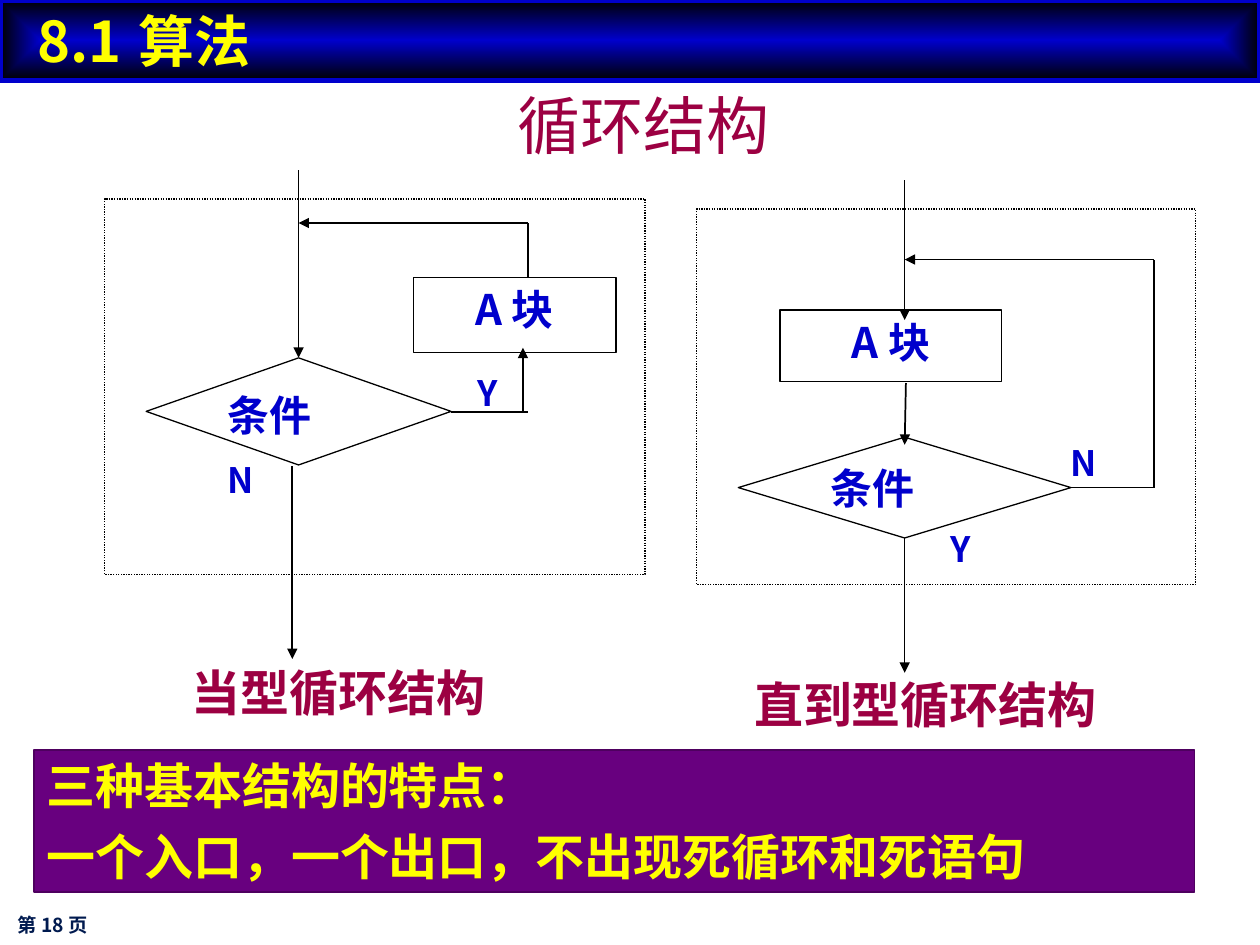
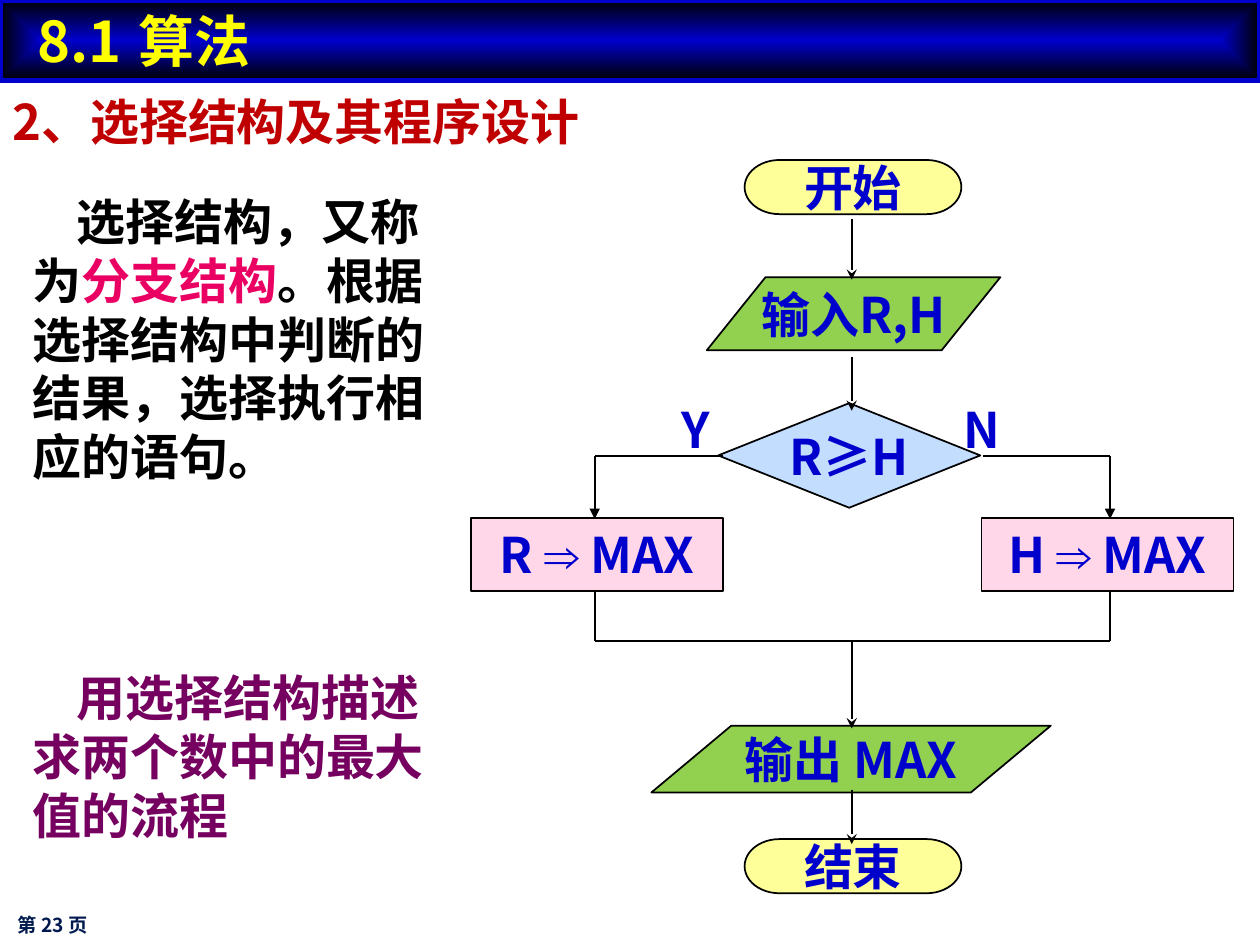
from dataclasses import dataclass, replace
from itertools import pairwise

from lxml.etree import SubElement
from pptx import Presentation
from pptx.dml.color import RGBColor
from pptx.enum.dml import MSO_LINE
from pptx.enum.shapes import MSO_CONNECTOR, MSO_SHAPE
from pptx.enum.text import MSO_ANCHOR, PP_ALIGN
from pptx.oxml.ns import qn
from pptx.util import Inches, Pt

# The page is a grid of 100 columns by 75 rows
WIDTH, HEIGHT = Inches(10), Inches(7.5)
COLUMN, ROW = WIDTH / 100, HEIGHT / 75
INSET = (1, 0.5)


@dataclass(frozen=True)
class Style:
    size: float
    color: str
    bold: bool = True
    font: str = "Noto Sans CJK SC"
    align: PP_ALIGN = PP_ALIGN.LEFT


class Theme:
    ink = "000000"
    band, band_edge = "0000CC", "000000"
    summary, summary_edge = "68007F", "4E005F"
    terminal, data = "FFFF99", "92D050"
    process, decision = "FFD7E8", "C3DDFF"
    accent = "E90062"
    symbol_font = "Arial"
    thin, normal, thick = 0.75, 1, 3

    title = Style(32, "FFFF00", font="Noto Sans CJK JP")
    footer = Style(11, "001A4F")
    topic = Style(36, "9C0042", bold=False, align=PP_ALIGN.CENTER)
    caption = Style(28, "9C0042", align=PP_ALIGN.CENTER)
    summary_text = Style(28, "FFFF00")
    heading = Style(28, "C00000")
    body = Style(28, ink)
    task = Style(28, "75005F")
    condition = Style(24, "0000CC")
    block = replace(condition, align=PP_ALIGN.CENTER)
    branch = Style(20, "0000CC")
    big_branch = Style(28, "0000CC")
    step = replace(big_branch, align=PP_ALIGN.CENTER)


def rgb(color):
    return RGBColor.from_string(color)


def place(left, top, width, height):
    return [round(n) for n in
            (left * COLUMN, top * ROW, width * COLUMN, height * ROW)]


def add_span(para, text, style):
    span = para.add_run()
    span.text = text
    font = span.font
    font.size, font.bold, font.name = Pt(style.size), style.bold, style.font
    font.color.rgb = rgb(style.color)
    SubElement(span._r.get_or_add_rPr(), qn("a:ea"), typeface=style.font)


def write(box, paragraphs, style, inset=INSET, wrap=True,
          anchor=MSO_ANCHOR.TOP, indent=0, gap=0, tab=None):
    """Fill a box; a paragraph is a list of (text, style changes)."""
    frame = box.text_frame
    frame.word_wrap, frame.vertical_anchor = wrap, anchor
    frame.margin_left = frame.margin_right = round(inset[0] * COLUMN)
    frame.margin_top = frame.margin_bottom = round(inset[1] * ROW)
    for number, spans in enumerate(paragraphs):
        para = frame.add_paragraph() if number else frame.paragraphs[0]
        para.alignment = style.align
        if number:
            para.space_before = Pt(gap)
        settings = para._p.get_or_add_pPr()
        if indent:
            settings.set("indent", str(round(indent * COLUMN)))
        if tab:
            stops = SubElement(settings, qn("a:tabLst"))
            SubElement(stops, qn("a:tab"), pos=str(round(tab * COLUMN)), algn="l")
        for text, changes in spans:
            add_span(para, text, replace(style, **changes))


def plain(*lines):
    return [[(line, {})] for line in lines]


def add_text(page, spot, paragraphs, style, **layout):
    box = page.shapes.add_textbox(*place(*spot))
    write(box, paragraphs, style, **layout)


def add_box(page, kind, spot, fill=None, edge=Theme.ink, weight=Theme.thin):
    box = page.shapes.add_shape(kind, *place(*spot))
    box.shadow.inherit = False
    if fill:
        box.fill.solid()
        box.fill.fore_color.rgb = rgb(fill)
    else:
        box.fill.background()
    box.line.color.rgb = rgb(edge)
    box.line.width = Pt(weight)
    return box


def add_step(page, kind, spot, fill, *spans):
    """Flowchart step with centred, unwrapped text."""
    box = add_box(page, kind, spot, fill, weight=Theme.normal)
    write(box, [list(spans)], Theme.step, wrap=False, anchor=MSO_ANCHOR.MIDDLE)


def add_flow(page, *points, arrow=None, weight=Theme.thin):
    """Join points with straight lines; the arrow sits on the last one."""
    for start, end in pairwise(points):
        line = page.shapes.add_connector(
            MSO_CONNECTOR.STRAIGHT, *place(*start, *end))
        line.line.color.rgb = rgb(Theme.ink)
        line.line.width = Pt(weight)
        if arrow and end == points[-1]:
            SubElement(line.line._get_or_add_ln(), qn("a:tailEnd"), type=arrow)
        SubElement(line._element.spPr, qn("a:effectLst"))


def add_frame(page, spot):
    frame = add_box(page, MSO_SHAPE.RECTANGLE, spot)
    frame.line.dash_style = MSO_LINE.ROUND_DOT


def add_band(page):
    band = add_box(page, MSO_SHAPE.RECTANGLE, (0, 0, 100, 6.4),
                   edge=Theme.band, weight=Theme.thick)
    band.fill.gradient()
    for stop, color in zip(band.fill.gradient_stops,
                           (Theme.band, Theme.band_edge)):
        stop.color.rgb = rgb(color)
    gradient = band._element.spPr.find(qn("a:gradFill"))
    gradient.remove(gradient.find(qn("a:lin")))
    shade = SubElement(gradient, qn("a:path"), path="rect")
    SubElement(shade, qn("a:fillToRect"),
               {side: "50000" for side in ("l", "t", "r", "b")})
    write(band, plain("8.1\t算法"), Theme.title, indent=2, tab=11.7)


def add_page(deck, number):
    """Blank page with the shared band and page number."""
    page = deck.slides.add_slide(deck.slide_layouts[6])
    add_band(page)
    add_text(page, (0.4, 71.5, 26.7, 3.8), plain(f"第 {number} 页"),
             Theme.footer, anchor=MSO_ANCHOR.MIDDLE)
    return page


def add_loop_parts(page, frame, block, diamond, text_shift, caption, name, labels):
    """Boxes and words that both kinds of loop have."""
    add_frame(page, frame)
    write(add_box(page, MSO_SHAPE.RECTANGLE, block), plain("A 块"), Theme.block)
    write(add_box(page, MSO_SHAPE.FLOWCHART_DECISION, diamond), plain("条件"),
          Theme.condition, inset=(0.4, 0.4) if not text_shift else (0, 0),
          indent=text_shift)
    add_text(page, caption, plain(name), Theme.caption, inset=(0.2, 0.1))
    for label, left, top in labels:
        add_text(page, (left, top, 3.3, 3.9), plain(label), Theme.branch,
                 inset=(0, 0))


def add_while_loop(page):
    axis, back, level = 23.7, 41.9, 17.7
    add_loop_parts(page, (8.3, 15.8, 42.9, 29.8), (32.8, 22, 16.1, 6),
                   (11.6, 28.4, 24.2, 8.5), 0, (8.7, 52.5, 36.3, 5.1),
                   "当型循环结构", [("Y", 37.9, 29.5), ("N", 18.1, 36.4)])
    add_flow(page, (axis, 13.5), (axis, 28.4), arrow="triangle")
    add_flow(page, (35.8, 32.7), (back, 32.7))
    add_flow(page, (41.5, 32.6), (41.5, 27.6), arrow="triangle",
             weight=Theme.normal)
    add_flow(page, (back, 22), (back, level), (axis, level), arrow="triangle")
    add_flow(page, (23.2, 37), (23.2, 52.3), arrow="triangle",
             weight=Theme.normal)


def add_until_loop(page):
    axis, back, level, test = 71.8, 91.6, 20.6, 38.7
    add_loop_parts(page, (55.3, 16.6, 39.6, 29.8), (61.9, 24.6, 17.6, 5.7),
                   (58.6, 34.7, 26.4, 8), 0.7, (55.3, 53.4, 36.3, 5.1),
                   "直到型循环结构", [("Y", 75.4, 41.9), ("N", 85, 35)])
    add_flow(page, (axis, 14.3), (axis, 25.4), arrow="triangle")
    add_flow(page, (71.9, 30.4), (axis, 35.3), arrow="triangle",
             weight=Theme.normal)
    add_flow(page, (85, test), (back, test), (back, level), (axis, level),
             arrow="triangle")
    add_flow(page, (axis, 42.7), (axis, 53.4), arrow="triangle")


def build_loop_page(deck):
    page = add_page(deck, 18)
    add_text(page, (37.9, 6.8, 26.4, 5.1), plain("循环结构"), Theme.topic,
             inset=(0.2, 0.1))
    add_while_loop(page)
    add_until_loop(page)
    summary = add_box(page, MSO_SHAPE.RECTANGLE, (2.7, 59.5, 92.1, 11.3),
                      Theme.summary, Theme.summary_edge, Theme.normal)
    write(summary, plain("三种基本结构的特点：",
                         "一个入口，一个出口，不出现死循环和死语句"),
          Theme.summary_text, gap=7)


def add_maximum_flowchart(page):
    axis, left, right = 67.6, 47.2, 88.1
    test, merge = 36.2, 50.9

    # Start, input, output and end
    for top, text in ((12.7, "开始"), (66.6, "结束")):
        add_step(page, MSO_SHAPE.FLOWCHART_TERMINATOR, (59.1, top, 17.2, 4.3),
                 Theme.terminal, (text, {}))
    for spot, text in (((56.1, 22, 23.3, 5.8), "输入R,H"),
                       ((51.7, 57.6, 31.7, 5.3), "输出 MAX")):
        add_step(page, MSO_SHAPE.FLOWCHART_DATA, spot, Theme.data, (text, {}))

    # Test and its two branches
    add_step(page, MSO_SHAPE.FLOWCHART_DECISION, (57, 32, 20.8, 8.3),
             Theme.decision, ("R≥H", {}))
    for label, label_left, name, box_left, side, corner in (
            ("Y", 53.1, "R", 37.4, left, 57.4),
            ("N", 75.5, "H", 77.9, right, 78)):
        add_step(page, MSO_SHAPE.FLOWCHART_PROCESS, (box_left, 41.1, 20, 5.8),
                 Theme.process, (f"{name} ", {}),
                 ("⇒", {"font": Theme.symbol_font}), (" MAX", {}))
        add_text(page, (label_left, 31.2, 6.7, 5.7), plain(label),
                 Theme.big_branch)
        add_flow(page, (corner, test), (side, test), (side, 41.2),
                 arrow="triangle", weight=Theme.normal)
        add_flow(page, (side, 46.8), (side, merge), (axis, merge),
                 weight=Theme.normal)

    # Arrows down the main axis
    for start, end in ((17.4, 22.2), (28.3, 32.6), (merge, 57.8), (62.7, 67)):
        add_flow(page, (axis, start), (axis, end), arrow="stealth",
                 weight=Theme.normal)


def build_selection_page(deck):
    page = add_page(deck, 23)
    add_text(page, (0, 6.8, 60.8, 5.7), plain("2、选择结构及其程序设计"),
             Theme.heading)
    add_text(page, (1.6, 14.7, 34.2, 24.4),
             [[("选择结构，又称为", {}), ("分支结构", {"color": Theme.accent}),
               ("。根据选择结构中判断的结果，选择执行相应的语句。", {})]],
             Theme.body, indent=3.5)
    add_text(page, (1.6, 52.5, 35, 15),
             plain("用选择结构描述求两个数中的最大值的流程"),
             Theme.task, indent=3.5)
    add_maximum_flowchart(page)


def main():
    deck = Presentation()
    deck.slide_width, deck.slide_height = WIDTH, HEIGHT
    build_loop_page(deck)
    build_selection_page(deck)
    deck.save("out.pptx")


if __name__ == "__main__":
    main()
